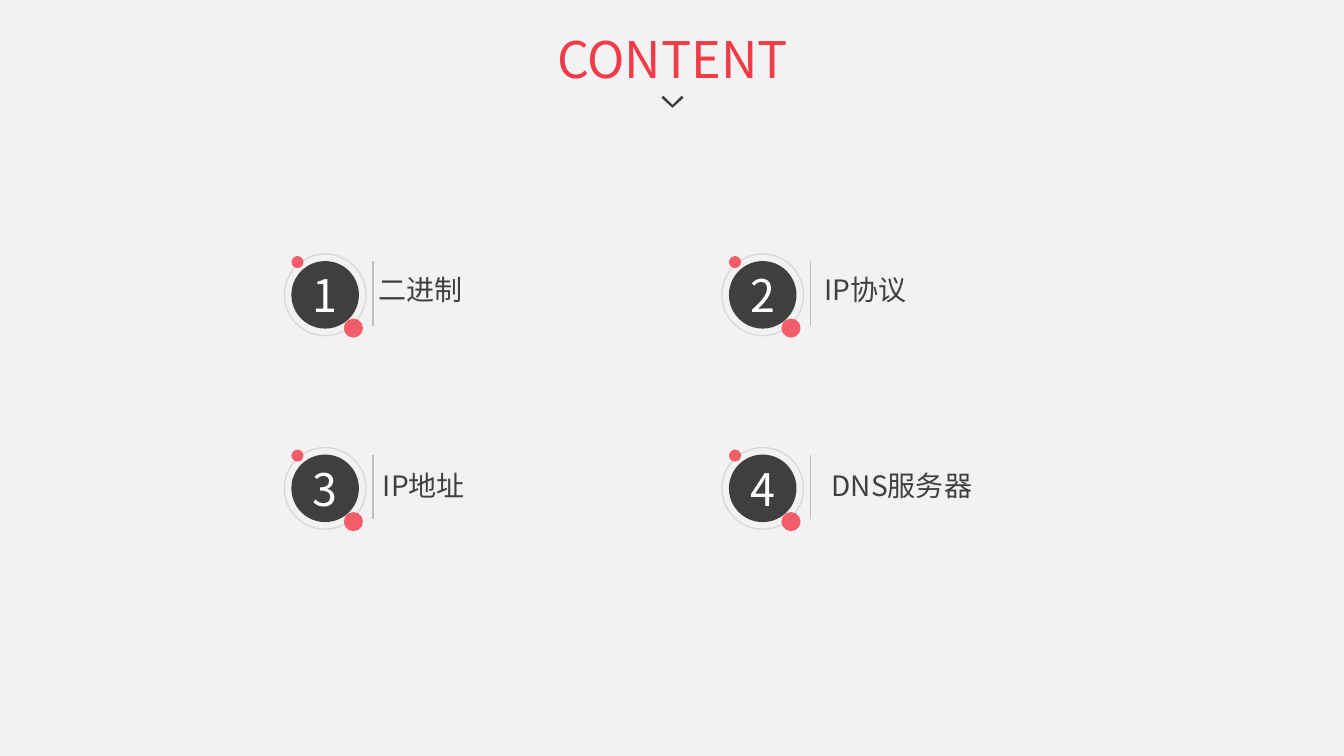
from dataclasses import dataclass

from lxml import etree
from pptx import Presentation
from pptx.dml.color import RGBColor
from pptx.enum.shapes import MSO_CONNECTOR, MSO_SHAPE
from pptx.enum.text import MSO_ANCHOR, MSO_AUTO_SIZE, PP_ALIGN
from pptx.oxml.ns import qn
from pptx.shapes.autoshape import Shape
from pptx.shapes.group import GroupShape
from pptx.slide import Slide
from pptx.text.text import TextFrame
from pptx.util import Inches, Pt

OVAL = MSO_SHAPE.OVAL
STRAIGHT = MSO_CONNECTOR.STRAIGHT
MIDDLE, TOP = MSO_ANCHOR.MIDDLE, MSO_ANCHOR.TOP
CENTER, JUSTIFY = PP_ALIGN.CENTER, PP_ALIGN.JUSTIFY
GROW, FIXED = MSO_AUTO_SIZE.SHAPE_TO_FIT_TEXT, MSO_AUTO_SIZE.NONE

PAPER = RGBColor(0xF2, 0xF2, 0xF2)
RED = RGBColor(0xF2, 0x3B, 0x48)
DARK = RGBColor(0x3F, 0x3F, 0x3F)
LABEL_GREY = RGBColor(0x40, 0x40, 0x40)
RING_GREY = RGBColor(0xD9, 0xD9, 0xD9)
RULE_GREY = RGBColor(0xBF, 0xBF, 0xBF)
WHITE = RGBColor(0xFF, 0xFF, 0xFF)
FONT = "Noto Sans CJK SC"

# Grid of topics, measured from the ring's top left corner
LEFT, TOP_ROW = 2.82, 2.52
COLUMN_STEP, ROW_STEP, COLUMNS = 4.34, 1.92, 2


@dataclass(frozen=True)
class Topic:
    label: str
    label_dx: float
    label_dy: float


@dataclass(frozen=True)
class Disc:
    dx: float
    dy: float
    size: float
    fill: RGBColor | None = None
    line: RGBColor | None = None
    opacity: int = 100


TOPICS = [
    Topic("二进制", 0.84, 0.13),
    Topic("IP协议", 0.92, 0.13),
    Topic("IP地址", 0.88, 0.16),
    Topic("DNS服务器", 0.99, 0.16),
]
BADGE = Disc(0.07, 0.07, 0.67, fill=DARK)
ORNAMENTS = [
    Disc(0, 0, 0.81, line=RING_GREY),
    Disc(0.59, 0.64, 0.19, fill=RED, opacity=80),
    Disc(0.07, 0.02, 0.12, fill=RED, opacity=80),
]


def write(frame: TextFrame, text: str, *, size: float, color: RGBColor,
          align: PP_ALIGN = CENTER, anchor: MSO_ANCHOR = MIDDLE,
          auto_size: MSO_AUTO_SIZE = FIXED, wrap: bool = True) -> None:
    frame.word_wrap = wrap
    frame.auto_size = auto_size
    frame.vertical_anchor = anchor
    paragraph = frame.paragraphs[0]
    paragraph.alignment = align
    run = paragraph.add_run()
    run.text = text
    run.font.size = Pt(size)
    run.font.color.rgb = color
    run.font.name = FONT
    east_asian = etree.SubElement(run.font._element, qn("a:ea"))
    east_asian.set("typeface", FONT)


def add_disc(group: GroupShape, x: float, y: float, disc: Disc) -> Shape:
    oval = group.shapes.add_shape(
        OVAL, Inches(x + disc.dx), Inches(y + disc.dy),
        Inches(disc.size), Inches(disc.size))
    oval.shadow.inherit = False
    if disc.fill is None:
        oval.fill.background()
    else:
        oval.fill.solid()
        oval.fill.fore_color.rgb = disc.fill
    if disc.line is None:
        oval.line.fill.background()
    else:
        oval.line.color.rgb = disc.line
        oval.line.width = Pt(1)
    if disc.opacity < 100:
        color = oval._element.spPr.find(qn("a:solidFill"))[0]
        etree.SubElement(color, qn("a:alpha")).set("val", str(disc.opacity * 1000))
    return oval


def add_topic(slide: Slide, index: int, topic: Topic) -> None:
    row, column = divmod(index, COLUMNS)
    x, y = LEFT + column * COLUMN_STEP, TOP_ROW + row * ROW_STEP
    group = slide.shapes.add_group_shape()

    # Numbered badge with its ring and dots
    badge = add_disc(group, x, y, BADGE)
    write(badge.text_frame, str(index + 1), size=32, color=WHITE, wrap=False)
    for ornament in ORNAMENTS:
        add_disc(group, x, y, ornament)

    # Label and the rule before it
    label = group.shapes.add_textbox(
        Inches(x + topic.label_dx), Inches(y + topic.label_dy),
        Inches(2.47), Inches(0.44))
    write(label.text_frame, topic.label, size=20, color=LABEL_GREY,
          align=JUSTIFY, anchor=TOP, auto_size=GROW)
    rule = group.shapes.add_connector(
        STRAIGHT, Inches(x + 0.88), Inches(y + 0.07),
        Inches(x + 0.88), Inches(y + 0.71))
    rule.line.color.rgb = RULE_GREY
    rule.line.width = Pt(1)
    etree.SubElement(rule._element.spPr, qn("a:effectLst"))


def add_heading(slide: Slide) -> None:
    heading = slide.shapes.title
    heading.left, heading.top = Inches(5.24), Inches(0.23)
    heading.width, heading.height = Inches(2.86), Inches(0.71)
    write(heading.text_frame, "CONTENT", size=36, color=RED,
          anchor=TOP, auto_size=GROW)

    # Chevron under the heading
    outline = [(6.78, 0.97), (6.67, 1.07), (6.56, 0.97), (6.58, 0.95), (6.67, 1.04)]
    builder = slide.shapes.build_freeform(Inches(6.76), Inches(0.95))
    builder.add_line_segments([(Inches(x), Inches(y)) for x, y in outline])
    chevron = builder.convert_to_shape()
    chevron.shadow.inherit = False
    chevron.fill.solid()
    chevron.fill.fore_color.rgb = DARK
    chevron.line.fill.background()


def main() -> None:
    deck = Presentation()
    deck.slide_width, deck.slide_height = Inches(13.33), Inches(7.5)
    slide = deck.slides.add_slide(deck.slide_layouts.get_by_name("Title Only"))
    slide.background.fill.solid()
    slide.background.fill.fore_color.rgb = PAPER

    for index, topic in enumerate(TOPICS):
        add_topic(slide, index, topic)
    add_heading(slide)
    deck.save("out.pptx")


if __name__ == "__main__":
    main()
